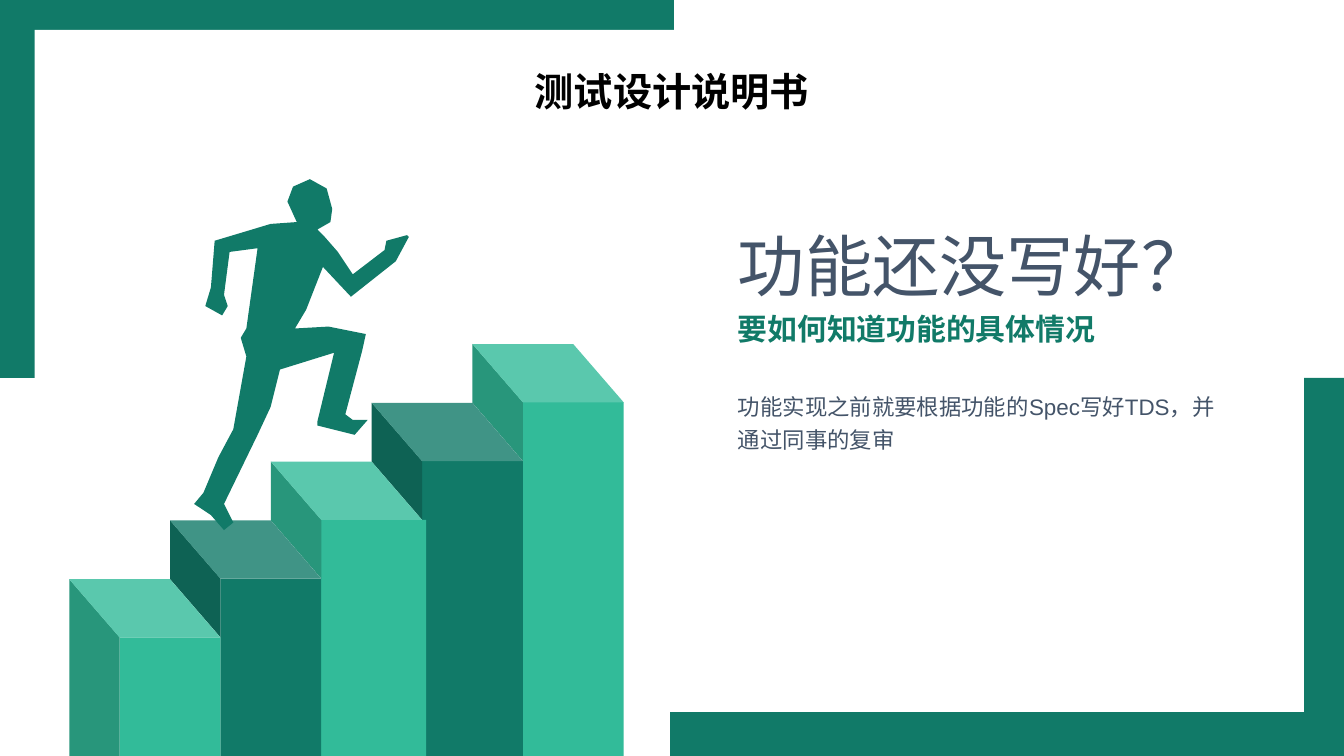
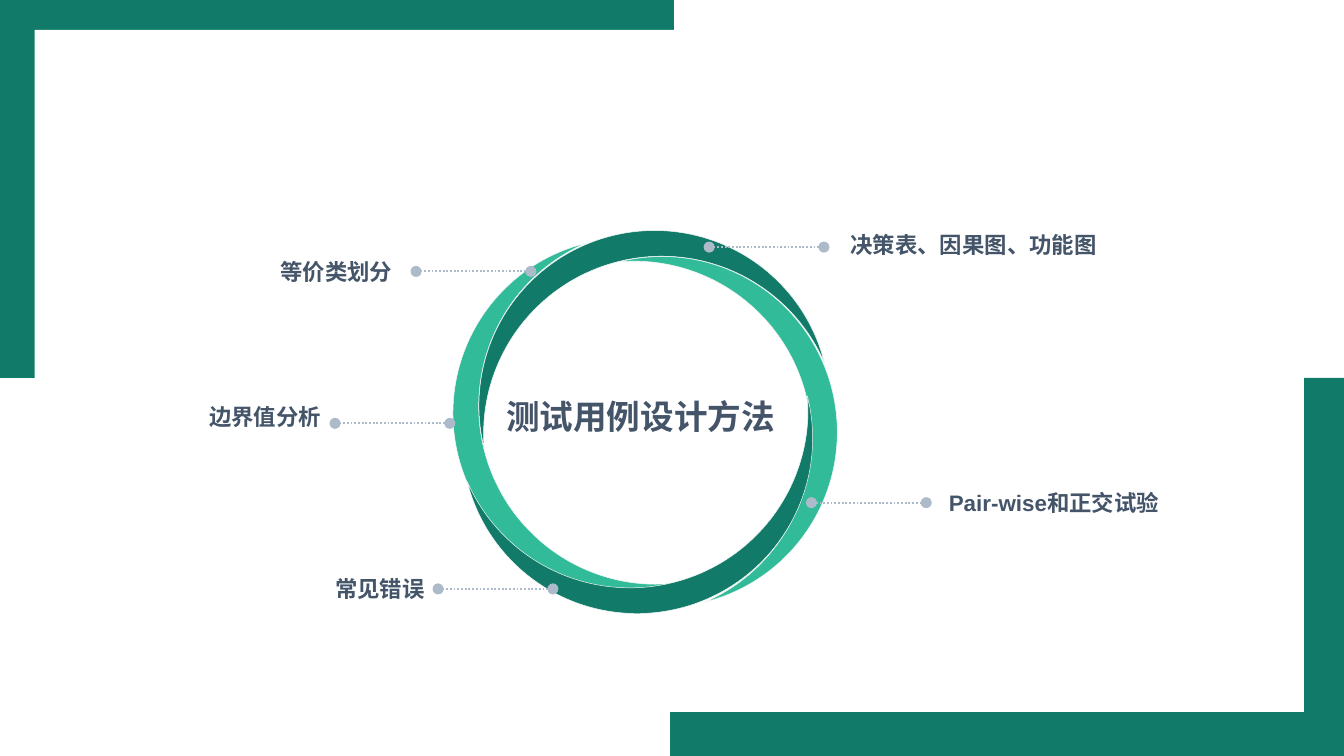
import lxml.etree
import pptx
import pptx.dml.color
import pptx.enum.dml
import pptx.enum.shapes
import pptx.enum.text
import pptx.oxml.ns
import pptx.util

Pt = pptx.util.Pt
RGBColor = pptx.dml.color.RGBColor
Shape = pptx.enum.shapes.MSO_SHAPE
Align = pptx.enum.text.PP_ALIGN
qn = pptx.oxml.ns.qn

# Colours
GREEN = RGBColor(0x11, 0x7A, 0x68)
GREEN_SIDE = RGBColor(0x0E, 0x62, 0x54)
GREEN_TOP = RGBColor(0x40, 0x94, 0x86)
MINT = RGBColor(0x32, 0xBB, 0x99)
MINT_SIDE = RGBColor(0x28, 0x96, 0x7B)
MINT_TOP = RGBColor(0x5A, 0xC8, 0xAD)
SLATE = RGBColor(0x44, 0x54, 0x69)
DOTS = RGBColor(0xAD, 0xBA, 0xCA)
EDGE = RGBColor(0xF8, 0xF8, 0xF8)
WHITE = RGBColor(0xFF, 0xFF, 0xFF)
BLACK = RGBColor(0x00, 0x00, 0x00)

WIDTH, HEIGHT = 720, 405

# Outline of the runner, in points
RUNNER = [
    # Right arm, neck and head
    (218, 126), (207, 129), (206, 134), (189, 147), (181, 135), (174, 127),
    (170, 123), (177, 119), (178, 112), (175, 101), (166, 96), (157, 100),
    (154, 108), (159, 119),
    # Left arm
    (145, 120), (115, 129), (113, 154), (110, 164), (119, 169), (122, 164),
    (120, 158), (123, 135), (138, 133),
    # Back and rear leg
    (132, 176), (129, 181), (132, 191), (125, 230), (117, 245), (109, 264),
    (104, 270), (113, 276), (120, 284), (125, 280), (120, 270), (138, 233),
    (145, 218), (150, 198), (179, 189),
    # Front leg
    (170, 226), (170, 228), (190, 233), (197, 225), (189, 225), (185, 222),
    (194, 188), (196, 179), (176, 175), (158, 176),
    # Chest and right forearm
    (164, 166), (173, 143), (188, 159), (212, 140), (219, 127),
]


class Deck:
    """Holds the style and the slide being drawn."""

    def __init__(self):
        self.presentation = pptx.Presentation()
        self.presentation.slide_width = Pt(WIDTH)
        self.presentation.slide_height = Pt(HEIGHT)
        self.slide = None

    def new_slide(self):
        layout = self.presentation.slide_layouts[6]
        self.slide = self.presentation.slides.add_slide(layout)
        # Corner bands: two green quarters under a white panel
        middle_x, middle_y = 361, HEIGHT / 2
        self.shape(Shape.RECTANGLE, 0, 0, middle_x, middle_y, GREEN)
        self.shape(Shape.RECTANGLE, WIDTH - middle_x, middle_y,
                   middle_x, middle_y, GREEN)
        self.shape(Shape.ROUNDED_RECTANGLE, 18.5, 16, 680, 365.4, WHITE,
                   adjustment=0)

    def paint(self, shape, color, line=None):
        shape.shadow.inherit = False
        shape.fill.solid()
        shape.fill.fore_color.rgb = color
        if line is None:
            shape.line.fill.background()
        else:
            shape.line.color.rgb = line
            shape.line.width = Pt(0.25)

    def shape(self, kind, left, top, width, height, color, line=None,
              rotation=0, adjustment=None):
        shape = self.slide.shapes.add_shape(
            kind, Pt(left), Pt(top), Pt(width), Pt(height))
        shape.rotation = rotation
        if adjustment is not None:
            shape.adjustments[0] = adjustment
        self.paint(shape, color, line)

    def polygon(self, points, color):
        points = [(Pt(x), Pt(y)) for x, y in points]
        builder = self.slide.shapes.build_freeform(*points[0])
        builder.add_line_segments(points[1:], close=True)
        self.paint(builder.convert_to_shape(), color)

    def text(self, left, top, width, height, lines, font="Arial", inset=(0, 0),
             align=Align.LEFT, space_before=0, line_spacing=None):
        """Each line is a tuple: text, size, colour, bold."""
        box = self.slide.shapes.add_textbox(
            Pt(left), Pt(top), Pt(width), Pt(height))
        frame = box.text_frame
        frame.word_wrap = True
        frame.auto_size = pptx.enum.text.MSO_AUTO_SIZE.SHAPE_TO_FIT_TEXT
        frame.margin_left = frame.margin_right = Pt(inset[0])
        frame.margin_top = frame.margin_bottom = Pt(inset[1])
        frame.text = "\n".join(line[0] for line in lines)
        for paragraph, (_, size, color, bold) in zip(frame.paragraphs, lines):
            paragraph.alignment = align
            paragraph.space_before = Pt(space_before)
            if line_spacing:
                paragraph.line_spacing = line_spacing
            for run in paragraph.runs:
                run.font.size = Pt(size)
                run.font.bold = bold
                run.font.color.rgb = color
                run.font.name = font
                # Chinese characters use the same font setting
                lxml.etree.SubElement(run._r.get_or_add_rPr(), qn("a:ea"),
                                      typeface=font)

    def dotted_line(self, start_x, end_x, y):
        connector = self.slide.shapes.add_connector(
            pptx.enum.shapes.MSO_CONNECTOR.STRAIGHT,
            Pt(start_x), Pt(y), Pt(end_x), Pt(y))
        connector.line.color.rgb = DOTS
        connector.line.width = Pt(1)
        connector.line.dash_style = pptx.enum.dml.MSO_LINE.ROUND_DOT
        line = connector.line._get_or_add_ln()
        for end in ("a:headEnd", "a:tailEnd"):
            lxml.etree.SubElement(line, qn(end), type="oval")
        lxml.etree.SubElement(connector._element.spPr, qn("a:effectLst"))


def draw_stairs(deck):
    step_width, rise, depth_x, depth_y, bottom = 54, 31.5, 27, 31.2, 440
    for step in reversed(range(5)):
        x = 64.1 + step * step_width
        y = 341.5 - step * rise
        if step % 2:
            front, side, top = GREEN, GREEN_SIDE, GREEN_TOP
        else:
            front, side, top = MINT, MINT_SIDE, MINT_TOP
        back_x, back_y = x - depth_x, y - depth_y
        side_height = rise if step else bottom - y
        front_width = 56.2 if step == 2 else step_width
        deck.shape(Shape.RECTANGLE, x, y, front_width, bottom - y, front)
        deck.polygon([(x, y), (back_x, back_y), (back_x, back_y + side_height),
                      (x, y + side_height)], side)
        deck.polygon([(back_x + step_width, back_y), (back_x, back_y), (x, y),
                      (x + step_width, y)], top)


def draw_design_slide(deck):
    deck.new_slide()
    draw_stairs(deck)
    deck.polygon(RUNNER, GREEN)
    deck.text(395.3, 120.2, 304, 67,
              [("功能还没写好？", 36, SLATE, False),
               ("要如何知道功能的具体情况", 16, GREEN, True)], space_before=3)
    deck.text(395.3, 208, 265.7, 34.6,
              [("功能实现之前就要根据功能的Spec写好TDS，并通过同事的复审",
                12, SLATE, False)], space_before=2.4, line_spacing=1.2)
    deck.text(246.2, 32.4, 227.5, 32.4,
              [("测试设计说明书", 21, BLACK, True)], font="Calibri",
              inset=(7.2, 3.6), align=Align.CENTER)


def draw_methods_slide(deck):
    deck.new_slide()
    # Ring of four moons, each a quarter turn on
    moons = [(244.1, 139), (292.3, 77.8), (353.5, 126), (306, 186.5)]
    for index, (left, top) in enumerate(moons):
        deck.shape(Shape.MOON, left, top, 93.6, 187.9,
                   GREEN if index % 2 else MINT, line=EDGE,
                   rotation=(345.9 + 90 * index) % 360, adjustment=0.152)
    deck.text(250.6, 208.8, 185, 28.8,
              [("测试用例设计方法", 18, SLATE, True)],
              inset=(7.2, 3.6), align=Align.CENTER)
    # Callouts: label, left, top, width, alignment, line start and line y
    callouts = [
        ("等价类划分", 95, 138.2, 115.2, Align.RIGHT, 284.4, 145.4),
        ("边界值分析", 56.9, 216, 115.2, Align.RIGHT, 241, 226.8),
        ("常见错误", 112.3, 308.2, 115.2, Align.RIGHT, 296.2, 315.5),
        ("决策表、因果图、功能图", 455.6, 123.8, 160, Align.LEFT, 441.4, 132.4),
        ("Pair-wise和正交试验", 508.3, 262.1, 115.2, Align.LEFT, 496.2, 269.3),
    ]
    line_length = 61.5
    for label, left, top, width, align, start_x, y in callouts:
        deck.dotted_line(start_x, start_x - line_length, y)
        deck.text(left, top, width, 14.4, [(label, 12, SLATE, True)],
                  align=align, space_before=2.4)


def main():
    deck = Deck()
    draw_design_slide(deck)
    draw_methods_slide(deck)
    deck.presentation.save("out.pptx")


if __name__ == "__main__":
    main()
